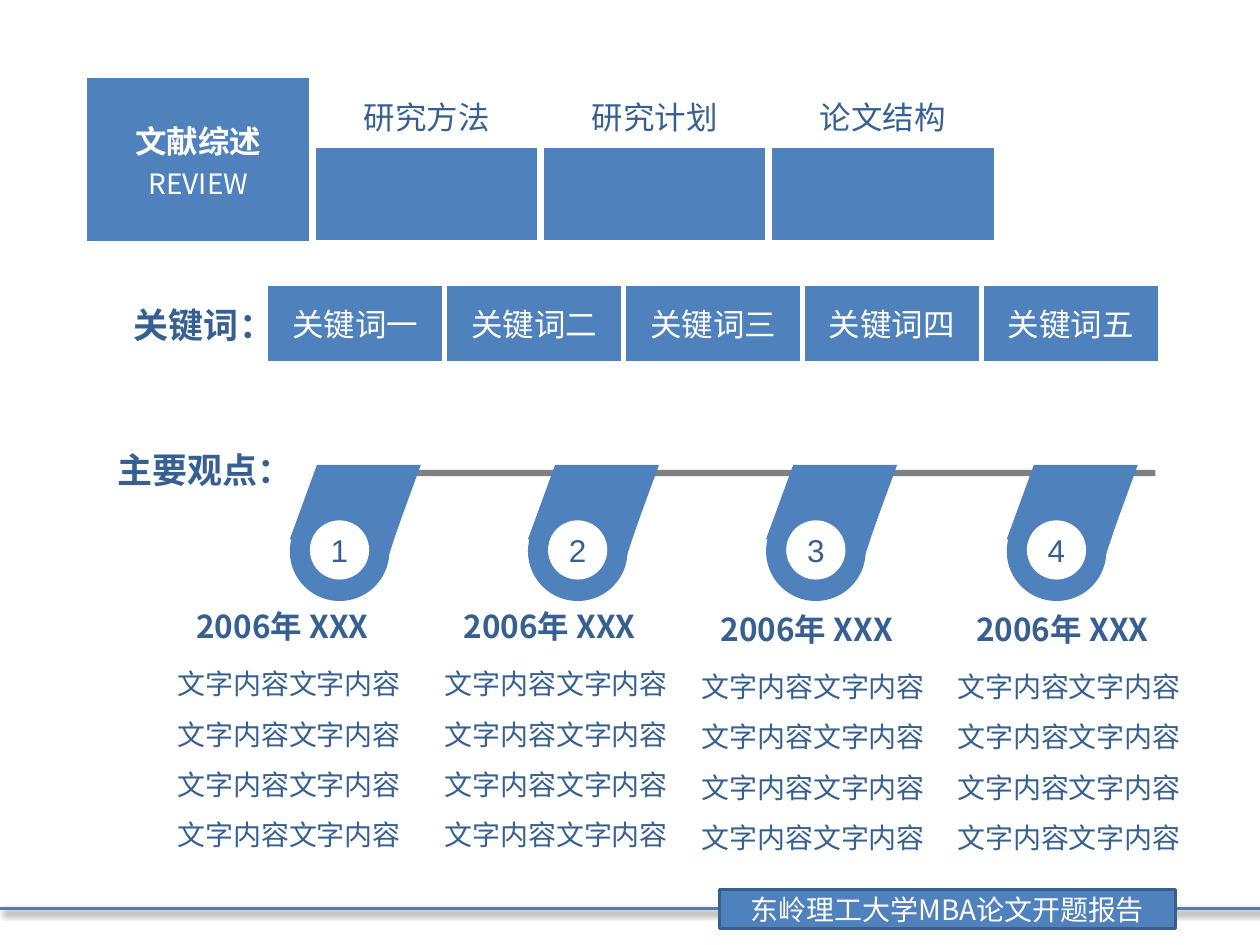
import pptx
import pptx.util
import pptx.dml.color
import pptx.enum.shapes
import pptx.enum.text
import pptx.oxml
import pptx.oxml.ns
from lxml import etree

Inches = pptx.util.Inches
Pt = pptx.util.Pt
RGBColor = pptx.dml.color.RGBColor
Shape = pptx.enum.shapes.MSO_SHAPE
Align = pptx.enum.text.PP_ALIGN
Anchor = pptx.enum.text.MSO_ANCHOR
qn = pptx.oxml.ns.qn

BLUE = RGBColor(0x4F, 0x81, 0xBD)
NAVY = RGBColor(0x37, 0x60, 0x92)
FOOTER_EDGE = RGBColor(0x3A, 0x5F, 0x8C)
RULE_BLUE = RGBColor(0x4B, 0x7E, 0xBC)
GREY = RGBColor(0x80, 0x80, 0x80)
WHITE = RGBColor(0xFF, 0xFF, 0xFF)
CJK = "Noto Sans CJK SC"

WIDTH, HEIGHT = 10, 7.5
MARKER_LEFTS = [2.3, 4.19, 6.08, 7.99]
NOTE_PLACES = [(1.31, 5.11), (3.43, 5.11), (5.47, 5.13), (7.5, 5.13)]


def add_run(paragraph, text, size, color=NAVY, bold=False, face=CJK):
    run = paragraph.add_run()
    run.text = text
    formats = {"size": Pt(size), "bold": bold, "name": face}
    for key, value in formats.items():
        setattr(run.font, key, value)
    run.font.color.rgb = color
    east_asian = etree.SubElement(run.font._element, qn("a:ea"))
    east_asian.set("typeface", face)


def add_block(shapes, kind, box, fill, edge=None):
    block = shapes.add_shape(kind, *map(Inches, box))
    block.shadow.inherit = False
    block.fill.solid()
    block.fill.fore_color.rgb = fill
    if edge is None:
        block.line.fill.background()
    else:
        block.line.color.rgb = edge
        block.line.width = Pt(2)
    return block


def label_block(block, text, size, color, face=CJK):
    frame = block.text_frame
    frame.word_wrap = False
    frame.vertical_anchor = Anchor.MIDDLE
    frame.margin_left = frame.margin_right = 0
    frame.paragraphs[0].alignment = Align.CENTER
    add_run(frame.paragraphs[0], text, size, color, face=face)


def add_text(slide, box, text, size, bold=False, wrap=False, align=Align.LEFT, spacing=None):
    frame = slide.shapes.add_textbox(*map(Inches, box)).text_frame
    frame.word_wrap = wrap
    frame.auto_size = pptx.enum.text.MSO_AUTO_SIZE.SHAPE_TO_FIT_TEXT
    paragraph = frame.paragraphs[0]
    paragraph.alignment = align
    paragraph.line_spacing = spacing
    add_run(paragraph, text, size, bold=bold)


def add_grid(slide, left, top, columns, rows):
    box = map(Inches, (left, top, sum(columns), sum(rows)))
    grid = slide.shapes.add_table(len(rows), len(columns), *box).table
    grid.first_row = grid.horz_banding = False
    for column, width in zip(grid.columns, columns):
        column.width = Inches(width)
    for row, height in zip(grid.rows, rows):
        row.height = Inches(height)
    return grid


def format_cell(cell, runs=(), fill=None, anchor=Anchor.MIDDLE, borders=(3, 3, 3, 3)):
    """Each run is (text, size, color, bold); borders are left, right, top, bottom."""
    cell.vertical_anchor = anchor
    paragraph = cell.text_frame.paragraphs[0]
    paragraph.alignment = Align.CENTER
    for run in runs:
        add_run(paragraph, *run)
    properties = cell._tc.get_or_add_tcPr()
    for side, width in zip("LRTB", borders):
        edge = etree.SubElement(properties, qn(f"a:ln{side}"), w=str(Pt(width)))
        paint = etree.SubElement(edge, qn("a:solidFill"))
        etree.SubElement(paint, qn("a:srgbClr"), val=str(WHITE))
    if fill is None:
        cell.fill.background()
    else:
        cell.fill.solid()
        cell.fill.fore_color.rgb = fill


def add_footer(slide):
    y = Inches(7.21)
    rule = slide.shapes.add_connector(
        pptx.enum.shapes.MSO_CONNECTOR.STRAIGHT, 0, y, Inches(WIDTH), y)
    rule.line.color.rgb = RULE_BLUE
    rule.line.width = Pt(2)
    effects = etree.SubElement(rule._element.spPr, qn("a:effectLst"))
    shadow = etree.SubElement(effects, qn("a:outerShdw"), blurRad=str(Pt(4)),
                              dist=str(Pt(3)), dir="2700000", rotWithShape="0")
    tint = etree.SubElement(shadow, qn("a:srgbClr"), val="000000")
    etree.SubElement(tint, qn("a:alpha"), val="40000")
    plate = add_block(slide.shapes, Shape.RECTANGLE, (5.71, 7.06, 3.62, 0.31), BLUE, FOOTER_EDGE)
    label_block(plate, "东岭理工大学MBA论文开题报告", 16, WHITE)


def add_navigation(slide):
    tabs = ["研究方法", "研究计划", "论文结构"]
    grid = add_grid(slide, 0.67, 0.6, [1.81] * 4, [0.55, 0.77])
    grid.cell(0, 0).merge(grid.cell(1, 0))
    current = [("文献综述", 18, WHITE, True), ("REVIEW", 16, WHITE, False)]
    format_cell(grid.cell(0, 0), current, BLUE, borders=(3, 4.5, 3, 3))
    format_cell(grid.cell(1, 0), fill=BLUE, borders=(3, 4.5, 3, 3))
    for column, tab in enumerate(tabs, 1):
        right = 3 if column == len(tabs) else 4.5
        format_cell(grid.cell(0, column), [(tab, 18, NAVY, False)],
                    anchor=Anchor.BOTTOM, borders=(4.5, right, 3, 4.5))
        format_cell(grid.cell(1, column), fill=BLUE, borders=(4.5, right, 4.5, 4.5))


def add_keywords(slide):
    grid = add_grid(slide, 0.85, 2.25, [1.26] + [1.42] * 5, [0.63])
    format_cell(grid.cell(0, 0), [("关键词：", 20, NAVY, True)], borders=(1, 3, 1, 3))
    for column, numeral in enumerate("一二三四五", 1):
        format_cell(grid.cell(0, column), [(f"关键词{numeral}", 18, WHITE, False)], BLUE)


def add_marker(slide, left, number):
    parts = slide.shapes.add_group_shape().shapes
    neck = add_block(parts, Shape.RECTANGLE, (left + 0.08, 3.99, 0.76, 0.39), BLUE)
    neck.rotation = 18.2
    add_block(parts, Shape.OVAL, (left, 3.98, 0.79, 0.79), BLUE)
    ribbon = add_block(parts, Shape.PARALLELOGRAM, (left, 3.69, 1.04, 0.59), BLUE)
    ribbon.adjustments[0] = 0.365
    disc = add_block(parts, Shape.OVAL, (left + 0.16, 4.13, 0.47, 0.47), WHITE)
    label_block(disc, str(number), 18, NAVY, "Arial")


def add_note(slide, left, top):
    add_text(slide, (left, top, 1.99, 1.72), "文字内容" * 8, 16, wrap=True, spacing=1.5)
    add_text(slide, (left + 0.15, top - 0.34, 1.69, 0.4), "2006年 XXX", 18, bold=True)


def main():
    deck = pptx.Presentation()
    deck.slide_width, deck.slide_height = Inches(WIDTH), Inches(HEIGHT)
    slide = deck.slides.add_slide(deck.slide_layouts[6])

    add_footer(slide)
    add_navigation(slide)
    add_keywords(slide)

    # Main viewpoints on their timeline
    add_text(slide, (0.83, 3.51, 1.6, 0.44), "主要观点：", 20, bold=True, align=Align.CENTER)
    add_block(slide.shapes, Shape.RECTANGLE, (2.56, 3.73, 6.61, 0.05), GREY)
    for number, left in enumerate(MARKER_LEFTS, 1):
        add_marker(slide, left, number)
    for left, top in NOTE_PLACES:
        add_note(slide, left, top)

    deck.save("out.pptx")


if __name__ == "__main__":
    main()
